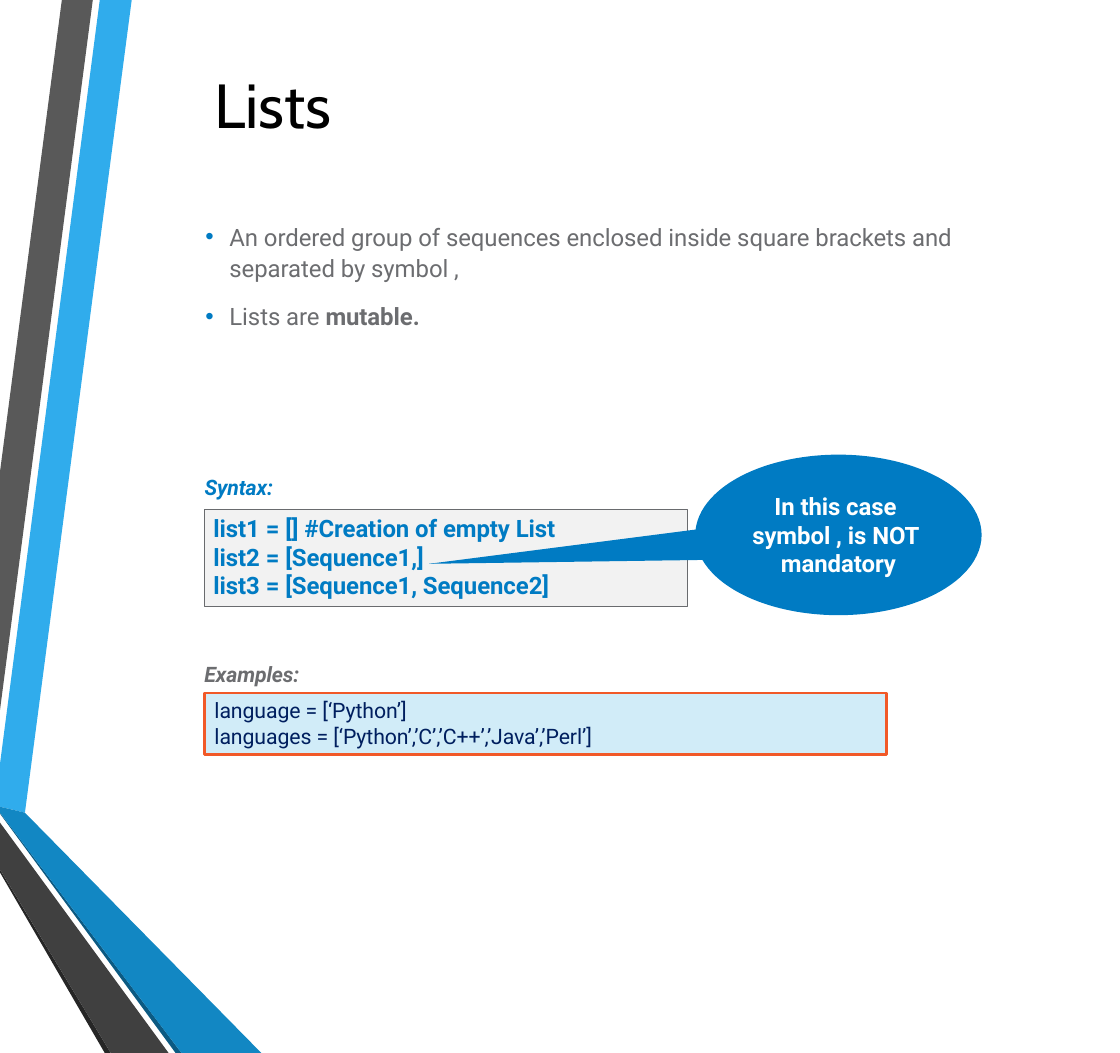
"""Builds a slide that introduces Python lists with their syntax and examples."""
from lxml import etree
from pptx import Presentation
from pptx import util as u
from pptx.dml.color import RGBColor
from pptx.enum import shapes, text
from pptx.oxml.ns import qn

PX = 9525
SLIDE_SIZE = {"slide_width": u.Pt(842), "slide_height": u.Pt(792)}
BOTTOM = 1056

BLACK = RGBColor(0x00, 0x00, 0x00)
WHITE = RGBColor(0xFF, 0xFF, 0xFF)
GREY = RGBColor(0x6C, 0x6D, 0x70)
BLUE = RGBColor(0x00, 0x7B, 0xC3)
NAVY = RGBColor(0x00, 0x1F, 0x5F)
PALE_GREY = RGBColor(0xF2, 0xF2, 0xF2)
PALE_BLUE = RGBColor(0xD1, 0xEC, 0xF8)
BORDER_GREY = RGBColor(0x69, 0x6B, 0x6E)
ORANGE = RGBColor(0xF1, 0x59, 0x28)
SKY = RGBColor(0x30, 0xAC, 0xEC)
SLATE = RGBColor(0x59, 0x59, 0x59)
CHARCOAL = RGBColor(0x40, 0x40, 0x40)
SHADE_BLACK = RGBColor(0x26, 0x26, 0x26)
SHADE_BLUE = RGBColor(0x0C, 0x5A, 0x82)
RIBBON_BLUE = RGBColor(0x12, 0x87, 0xC3)

RIBBONS = [
    (SKY, [(0, 766), (0, 809), (25, 815), (132, 0), (100, 0)]),
    (SLATE, [(93, 0), (62, 0), (0, 473), (0, 712)]),
    (SHADE_BLACK, [(0, 872), (0, 875), (105, BOTTOM), (111, BOTTOM)]),
    (SHADE_BLUE, [(0, 815), (0, 816), (176, BOTTOM), (182, BOTTOM)]),
    (RIBBON_BLUE, [(0, 815), (182, BOTTOM), (262, BOTTOM), (25, 815), (0, 809)]),
    (CHARCOAL, [(0, 872), (111, BOTTOM), (169, BOTTOM), (0, 825)]),
]

TITLE = {"name": "Cabin", "size": u.Pt(46.8)}
BODY = {"name": "Roboto", "size": u.Pt(18)}
STRONG = {**BODY, "bold": True}
SMALL = {**BODY, "size": u.Pt(16)}
LABEL = {**SMALL, "bold": True, "italic": True}


def set_attributes(target, values):
    for name, value in values.items():
        setattr(target, name, value)


class SlideBuilder:
    def __init__(self, slide, tracking):
        self.slide = slide
        self.tracking = tracking

    def paint(self, shape, fill, line=None, weight=0):
        shape.shadow.inherit = False
        shape.fill.solid()
        shape.fill.fore_color.rgb = fill
        if line is None:
            shape.line.fill.background()
        else:
            shape.line.color.rgb = line
            shape.line.width = u.Pt(weight)

    def polygon(self, color, points):
        builder = self.slide.shapes.build_freeform(*points[0], scale=PX)
        builder.add_line_segments(points[1:], close=True)
        self.paint(builder.convert_to_shape(), color)

    def preset(self, kind, box, *colors, adjustments=()):
        shape = self.slide.shapes.add_shape(kind, *(n * PX for n in box))
        for index, value in enumerate(adjustments):
            shape.adjustments[index] = value
        self.paint(shape, *colors)

    def textbox(self, box, top=1, anchor=text.MSO_ANCHOR.TOP):
        frame = self.slide.shapes.add_textbox(*(n * PX for n in box)).text_frame
        set_attributes(frame, {
            "word_wrap": True, "vertical_anchor": anchor, "margin_left": 0,
            "margin_top": top * PX, "margin_right": 0, "margin_bottom": 0,
        })
        return frame

    def paragraph(self, frame, content, style, color, before=0, indent=1, **options):
        first = frame.paragraphs[0]
        paragraph = frame.add_paragraph() if first.runs else first
        set_attributes(paragraph, {"space_before": u.Pt(before), **options})
        paragraph._p.get_or_add_pPr().set("marL", str(indent * PX))
        for number, line in enumerate(content.split("\n")):
            if number:
                paragraph.add_line_break()
            self.run(paragraph, line, style, color)
        return paragraph

    def run(self, paragraph, content, style, color):
        run = paragraph.add_run()
        run.text = content
        set_attributes(run.font, style)
        run.font.color.rgb = color
        run._r.get_or_add_rPr().set("spc", str(self.tracking))

    def bullet(self, frame, content, style, color, marker, before, **options):
        paragraph = self.paragraph(frame, content, style, color, before, 26, **options)
        properties = paragraph._p.get_or_add_pPr()
        properties.set("indent", str(-24 * PX))
        bullet_color = etree.SubElement(properties, qn("a:buClr"))
        etree.SubElement(bullet_color, qn("a:srgbClr"), val=str(marker))
        etree.SubElement(properties, qn("a:buFont"), typeface="Arial")
        etree.SubElement(properties, qn("a:buChar"), char="•")
        return paragraph


def main():
    presentation = Presentation()
    set_attributes(presentation, SLIDE_SIZE)
    slide = presentation.slides.add_slide(presentation.slide_layouts[6])
    builder = SlideBuilder(slide, tracking=-5)
    center = {"alignment": text.PP_ALIGN.CENTER}

    for color, points in RIBBONS:
        builder.polygon(color, points)

    title = builder.textbox((114, 65, 318, 77), anchor=text.MSO_ANCHOR.MIDDLE)
    builder.paragraph(title, "Lists", TITLE, BLACK, 0.9, **center)

    facts = builder.textbox((204, 219, 759, 113))
    builder.bullet(
        facts,
        "An ordered group of sequences enclosed inside square brackets and \n"
        "separated by symbol ,",
        BODY, GREY, BLUE, 1, line_spacing=1.1)
    mutable = builder.bullet(facts, "Lists are ", BODY, GREY, BLUE, 14.2)
    builder.run(mutable, "mutable.", STRONG, GREY)

    rectangle = shapes.MSO_SHAPE.RECTANGLE
    builder.preset(rectangle, (205, 511, 484, 97), PALE_GREY, BORDER_GREY, 1)
    builder.preset(rectangle, (205, 695, 684, 62), PALE_BLUE, ORANGE, 2.25)

    syntax_label = builder.textbox((204, 475, 80, 28))
    builder.paragraph(syntax_label, "Syntax:", LABEL, BLUE, 0.9)
    syntax = builder.textbox((213, 514, 366, 89))
    builder.paragraph(
        syntax, "list1 = [] #Creation of empty List \nlist2 = [Sequence1,]",
        STRONG, BLUE, 1)
    builder.paragraph(syntax, "list3 = [Sequence1, Sequence2]", STRONG, BLUE)

    examples = builder.textbox((204, 651, 684, 102), top=12)
    builder.paragraph(examples, "Examples:", LABEL, GREY, 9.2)
    builder.paragraph(examples, "language = [‘Python’]", SMALL, NAVY, 8.3, 11)
    builder.paragraph(
        examples, "languages = [‘Python’,’C’,’C++’,’Java’,’Perl’]", SMALL, NAVY, 0, 11)

    builder.preset(shapes.MSO_SHAPE.OVAL_CALLOUT, (697, 456, 287, 161), BLUE,
                   adjustments=(-1.43, 0.18))
    callout = builder.textbox((748, 492, 184, 89))
    builder.paragraph(callout, "In this case \nsymbol , is NOT \nmandatory",
                      STRONG, WHITE, 1, **center)

    presentation.save("out.pptx")


if __name__ == "__main__":
    main()
